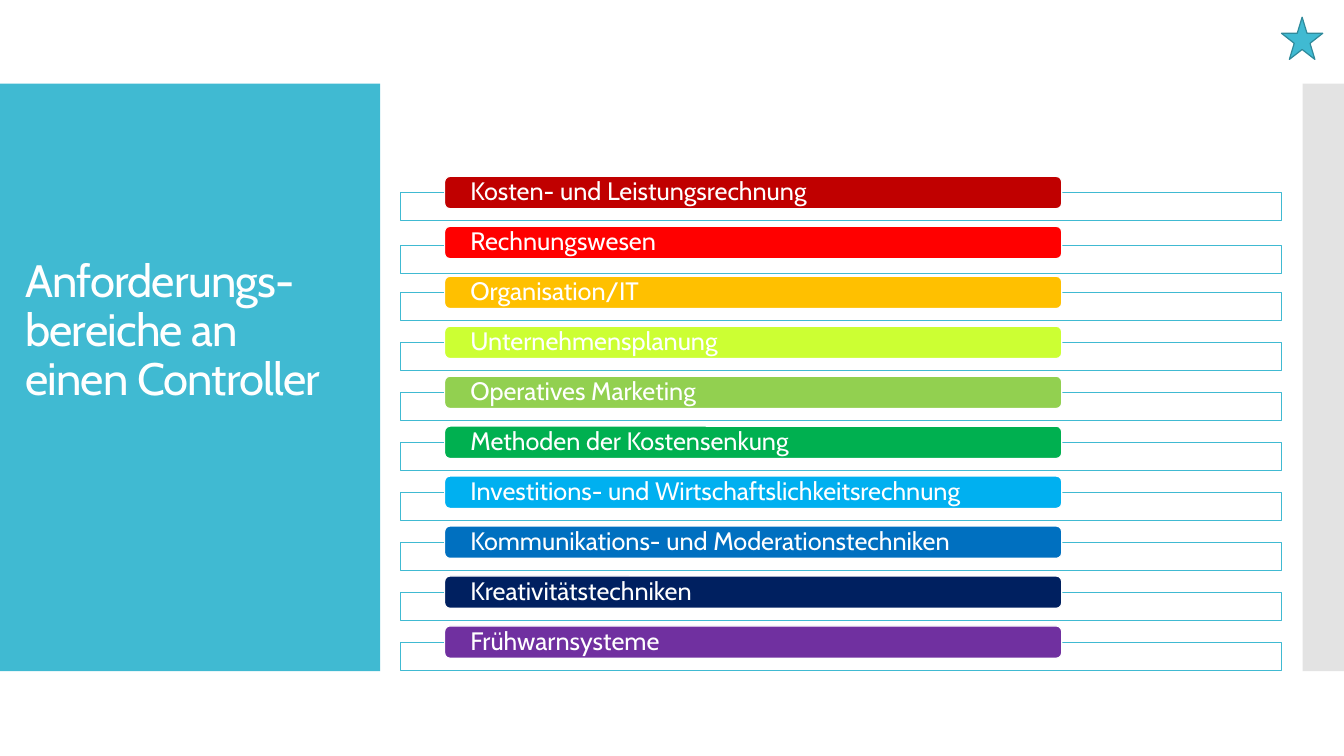
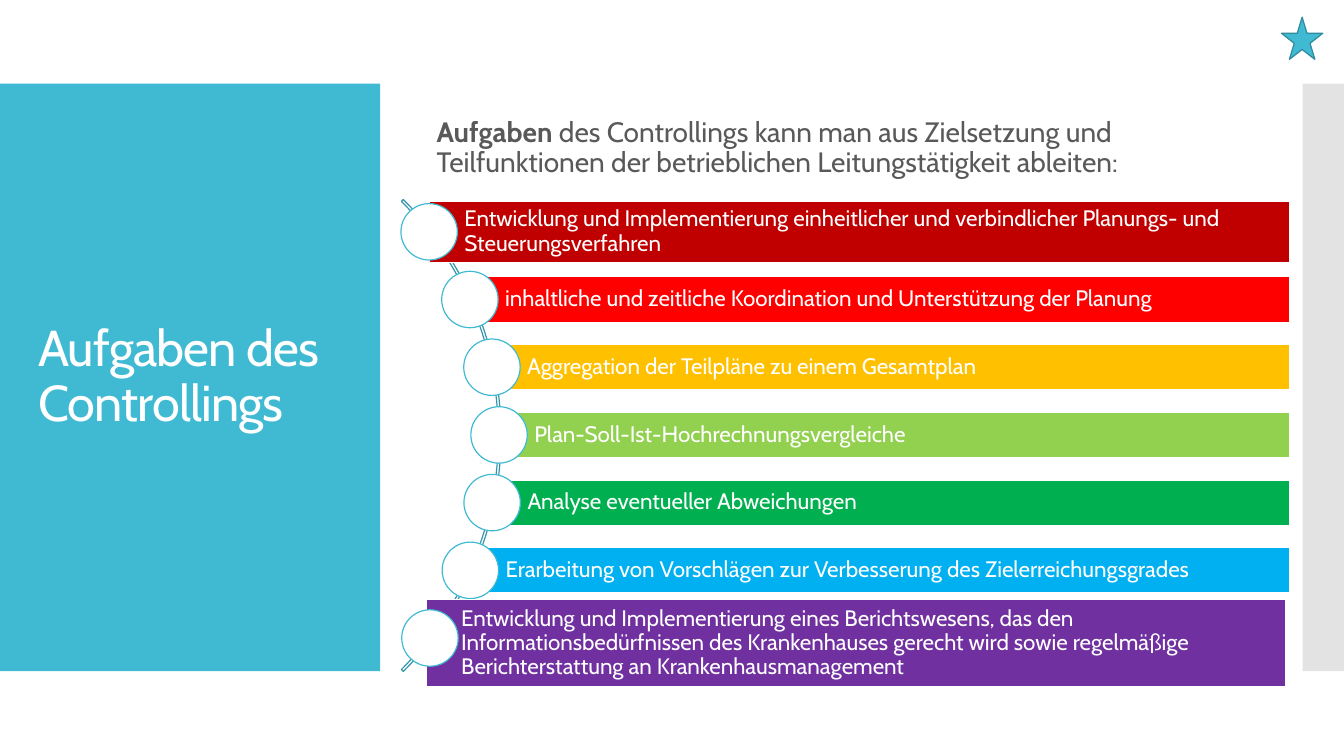
from math import sqrt
from lxml import etree
from pptx import Presentation
from pptx.dml.color import RGBColor
from pptx.enum.shapes import MSO_SHAPE
from pptx.enum.text import MSO_ANCHOR, MSO_AUTO_SIZE, PP_ALIGN
from pptx.oxml.ns import qn
from pptx.util import Inches, Pt

RECT, ROUND = MSO_SHAPE.RECTANGLE, MSO_SHAPE.ROUNDED_RECTANGLE
OVAL, ARC, STAR = MSO_SHAPE.OVAL, MSO_SHAPE.BLOCK_ARC, MSO_SHAPE.STAR_5_POINT
MIDDLE, LEFT, NO_FIT = MSO_ANCHOR.MIDDLE, PP_ALIGN.LEFT, MSO_AUTO_SIZE.NONE
FONT = "Cabin"
TEAL, WHITE, GREY = "40BAD2", "FFFFFF", "595959"


def add_box(s, kind, x, y, w, h, fill=None, line=None, alpha=None):
    sp = s.shapes.add_shape(kind, Inches(x), Inches(y), Inches(w), Inches(h))
    sp.shadow.inherit = False
    if fill:
        sp.fill.solid()
        sp.fill.fore_color.rgb = RGBColor.from_string(fill)
    else:
        sp.fill.background()
    if alpha:
        clr = sp.element.spPr.find(qn("a:solidFill"))[0]
        etree.SubElement(clr, qn("a:alpha")).set("val", str(alpha * 1000))
    if line:
        sp.line.color.rgb = RGBColor.from_string(line)
        sp.line.width = Pt(0.85)
    else:
        sp.line.fill.background()
    return sp


def write(sp, runs, size, color, insets=(0.1, 0.05, 0.1, 0.05), spacing=None):
    """Fill a shape with one left-aligned paragraph of (text, bold) runs."""
    tf = sp.text_frame
    tf.word_wrap = True
    tf.auto_size = NO_FIT
    tf.vertical_anchor = MIDDLE
    tf.margin_left, tf.margin_top, tf.margin_right, tf.margin_bottom = map(Inches, insets)
    p = tf.paragraphs[0]
    p.alignment = LEFT
    p.line_spacing = 0.9
    p.space_before = Pt(0)
    for text, bold in runs:
        for i, part in enumerate(text.split("\n")):
            if i:
                p.add_line_break()
            r = p.add_run()
            r.text = part
            r.font.name = FONT
            r.font.size = Pt(size)
            r.font.bold = bold
            r.font.color.rgb = RGBColor.from_string(color)
            if spacing:
                r.font._element.set("spc", str(spacing))


prs = Presentation()
prs.slide_width, prs.slide_height = Inches(13.33), Inches(7.5)

# Slides with their titles and the star in the corner
title_only, title_and_body = prs.slide_layouts[5], prs.slide_layouts[1]
titles = [
    (title_only, "Anforderungs-\nbereiche an\neinen Controller", 32.4, (0.15, 2.5, 11.24, 1.59)),
    (title_and_body, "Aufgaben des Controllings", 36, (0.28, 1.23, 3.22, 5.03)),
]
slides = []
for layout, text, size, place in titles:
    s = prs.slides.add_slide(layout)
    title = s.shapes.title
    title.left, title.top, title.width, title.height = map(Inches, place)
    write(title, [(text, False)], size, WHITE, spacing=-60)
    add_box(s, STAR, 12.71, 0.17, 0.41, 0.42, TEAL, "2F8A9B")
    slides.append(s)
areas_slide, tasks_slide = slides

# Side bands, moved to the slide master
side_bands = [
    add_box(areas_slide, RECT, 0, 0.83, 3.77, 5.83, TEAL),
    add_box(areas_slide, RECT, 12.92, 0.83, 0.42, 5.83, "C8C8C8", alpha=50),
]
master_tree = prs.slide_master.element.cSld.spTree
for i, band in enumerate(side_bands):
    master_tree.insert(2 + i, band.element)

# Slide 1: requirement areas
areas = [
    ("Kosten- und Leistungsrechnung", "C00000"),
    ("Rechnungswesen", "FF0000"),
    ("Organisation/IT", "FFC000"),
    ("Unternehmensplanung", "CCFF33"),
    ("Operatives Marketing", "92D050"),
    ("Methoden der Kostensenkung", "00B050"),
    ("Investitions- und Wirtschaftslichkeitsrechnung", "00B0F0"),
    ("Kommunikations- und Moderationstechniken", "0070C0"),
    ("Kreativitätstechniken", "002060"),
    ("Frühwarnsysteme", "7030A0"),
]
first_top, last_top = 1.75, 6.21
area_step = (last_top - first_top) / (len(areas) - 1)
for i, (text, color) in enumerate(areas):
    y = first_top + i * area_step
    frame_drop = 0.19 if i == 1 else 0.16
    add_box(areas_slide, RECT, 3.97, y + frame_drop, 8.74, 0.28, WHITE, TEAL, alpha=90)
    label = add_box(areas_slide, ROUND, 4.41, y, 6.12, 0.32, color, WHITE)
    write(label, [(text, False)], 18, WHITE, (0.24, 0, 0.24, 0))

# Slide 2: introduction
body = tasks_slide.placeholders[1]
body.left, body.top, body.width, body.height = map(Inches, (4.23, 0.94, 8, 1.06))
pPr = body.text_frame.paragraphs[0]._p.get_or_add_pPr()
pPr.set("marL", "0")
pPr.set("indent", "0")
etree.SubElement(pPr, qn("a:buNone"))
write(body, [
    ("Aufgaben ", True),
    ("des Controllings kann man aus Zielsetzung und Teilfunktionen "
     "der betrieblichen Leitungstätigkeit ableiten:", False),
], 20, GREY)

# Slide 2: arc behind the tasks
arc = add_box(tasks_slide, ARC, -1.65, 1.01, 6.62, 6.62, line="3395A8")
for i, value in enumerate((189, 27, 0.004)):
    arc.adjustments[i] = value

# Slide 2: tasks as text, colour, bar height, shift right and down
tasks = [
    ("Entwicklung und Implementierung einheitlicher und verbindlicher Planungs- und "
     "Steuerungsverfahren", "C00000", 0.61, 0, 0),
    ("inhaltliche und zeitliche Koordination und Unterstützung der Planung",
     "FF0000", 0.45, 0, 0),
    ("Aggregation der Teilpläne zu einem Gesamtplan", "FFC000", 0.45, 0, 0),
    ("Plan-Soll-Ist-Hochrechnungsvergleiche", "92D050", 0.45, 0, 0),
    ("Analyse eventueller Abweichungen", "00B050", 0.45, 0, 0),
    ("Erarbeitung von Vorschlägen zur Verbesserung des Zielerreichungsgrades",
     "00B0F0", 0.45, 0, 0),
    ("Entwicklung und Implementierung eines Berichtswesens, das den "
     "Informationsbedürfnissen des Krankenhauses gerecht wird sowie regelmäßige "
     "Berichterstattung an Krankenhausmanagement", "7030A0", 0.86, -0.04, 0.05),
]
arc_x, arc_y, radius = 1.66, 4.32, 3.29
bar_right, dot = 12.79, 0.56
first_mid, last_mid = 2.3, 6.33
task_step = (last_mid - first_mid) / (len(tasks) - 1)
for i, (text, color, h, dx, dy) in enumerate(tasks):
    mid = first_mid + i * task_step
    x = arc_x + sqrt(radius ** 2 - (mid - arc_y) ** 2)
    bar = add_box(tasks_slide, RECT, x + dx, mid - h / 2 + dy, bar_right - x, h, color, WHITE)
    write(bar, [(text, False)], 16, WHITE, (0.35, 0.04, 0.04, 0.04))
    add_box(tasks_slide, OVAL, x - dot / 2, mid - dot / 2, dot, dot, WHITE, TEAL)

prs.save("out.pptx")
